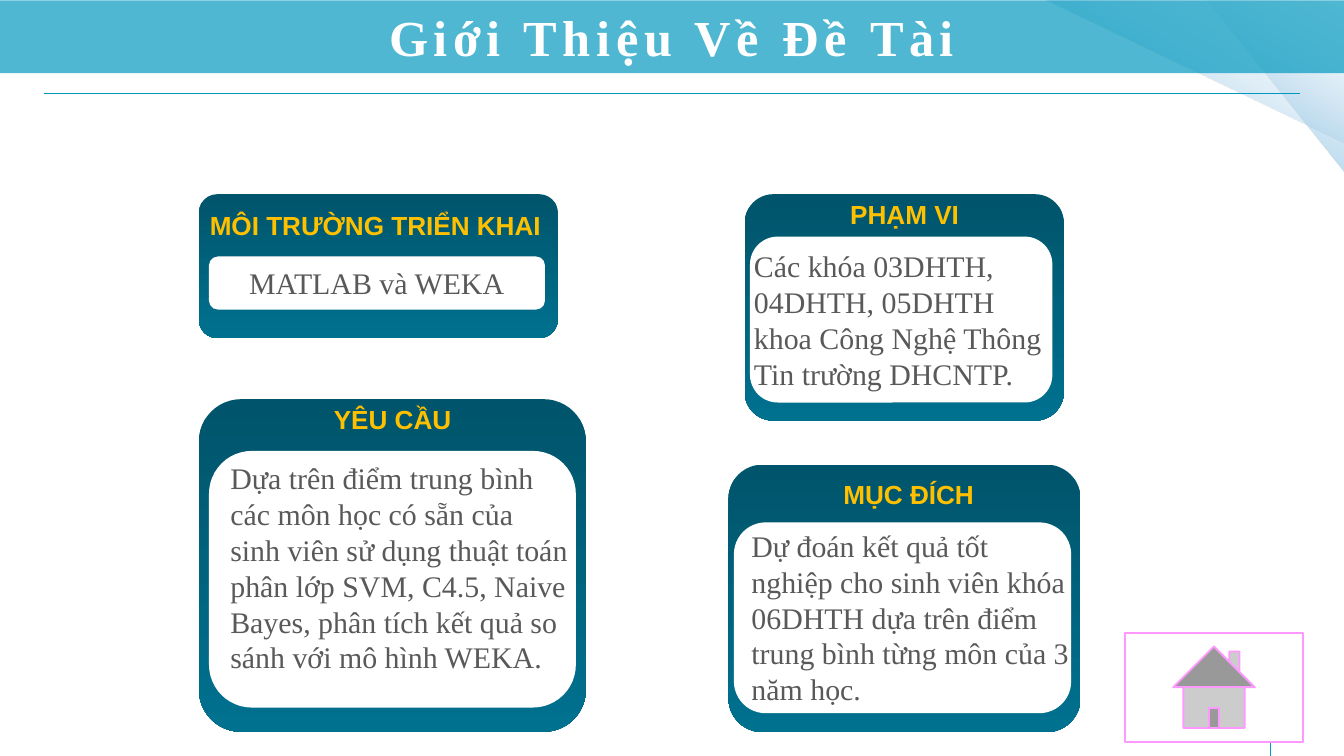
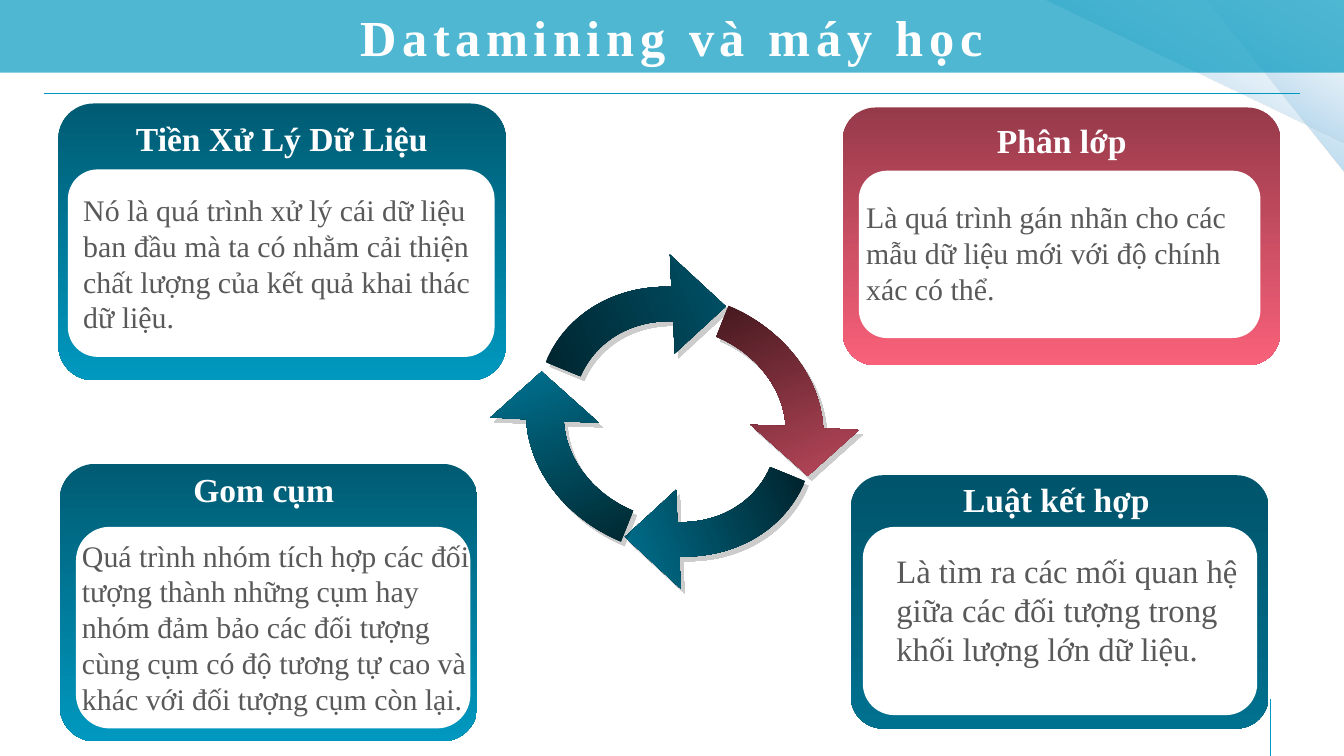
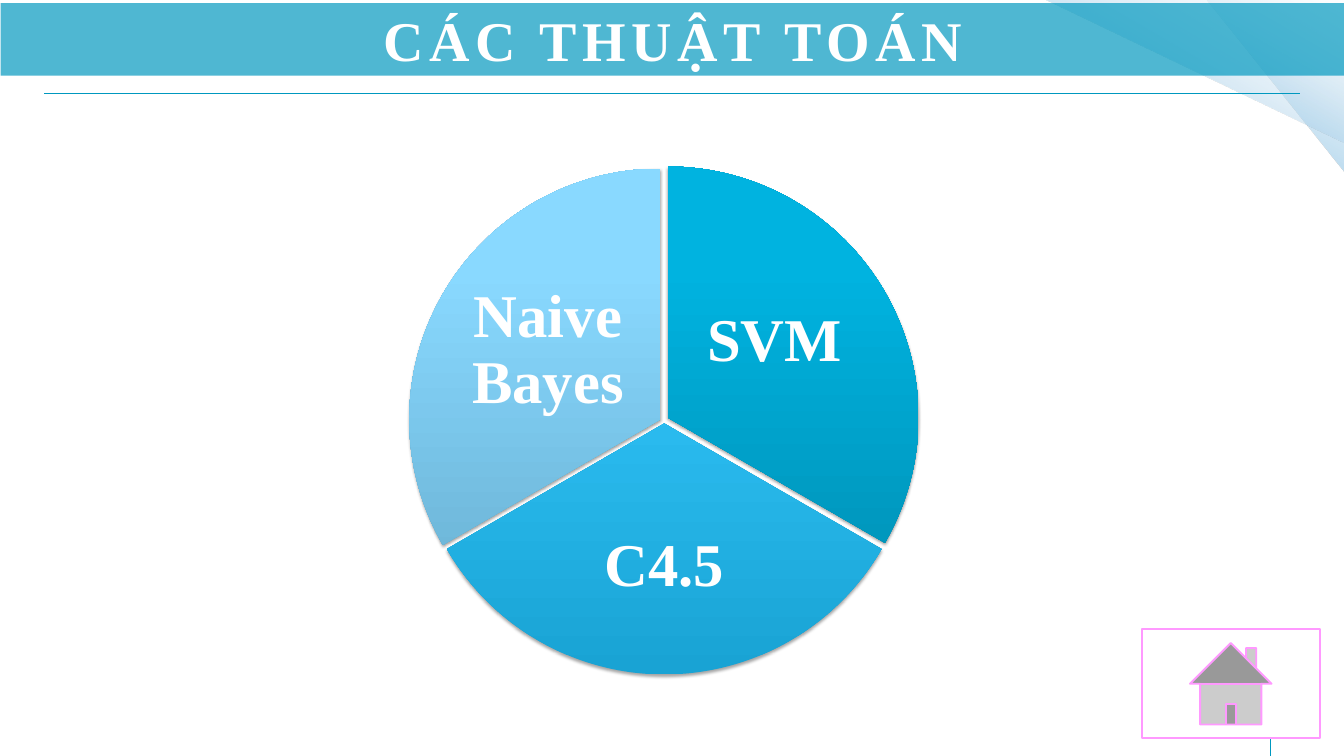
from dataclasses import dataclass

from lxml import etree
from pptx import Presentation
from pptx.dml.color import RGBColor
from pptx.enum.shapes import MSO_CONNECTOR, MSO_SHAPE
from pptx.enum.text import MSO_ANCHOR, MSO_AUTO_SIZE, PP_ALIGN
from pptx.oxml.ns import qn
from pptx.util import Pt

RECT = MSO_SHAPE.RECTANGLE
ROUND = MSO_SHAPE.ROUNDED_RECTANGLE
WEDGE = MSO_SHAPE.RIGHT_TRIANGLE
PIE = MSO_SHAPE.PIE
HOME = MSO_SHAPE.ACTION_BUTTON_HOME
STRAIGHT = MSO_CONNECTOR.STRAIGHT
LEFT, CENTER = PP_ALIGN.LEFT, PP_ALIGN.CENTER
TOP, MIDDLE = MSO_ANCHOR.TOP, MSO_ANCHOR.MIDDLE
GROW = MSO_AUTO_SIZE.SHAPE_TO_FIT_TEXT


@dataclass(frozen=True)
class Theme:
    serif: str = "Times New Roman"
    sans: str = "Arial"
    white: str = "FFFFFF"
    gold: str = "FFC000"
    gray: str = "595959"
    teal: str = "0098BF"
    pink: str = "FF99FF"
    black: str = "000000"
    deep: tuple = ((0, "00546B"), (100, "00718F"))
    sea: tuple = ((0, "005B73"), (100, "0098BF"))
    rose: tuple = ((0, "963A4A"), (100, "F9617A"))
    haze: tuple = ((0, "8FC8E8"), (50, "A4CEE9", 44), (100, "DEEDF6", 0))
    title: int = 54
    label: int = 65
    head: int = 36
    cap: int = 28
    body: int = 32


T = Theme()


@dataclass(frozen=True)
class Card:
    """Box on the slide; pane, head (x, y, width) and note count from its corner."""
    title: str
    text: str
    box: tuple
    pane: tuple
    head: tuple
    note: tuple = ()
    fill: tuple = T.deep
    size: int = T.body
    bend: float = 0.167


@dataclass(frozen=True)
class Slice:
    """Part of the wheel; spot and label count from the wheel's corner."""
    name: str
    spot: tuple
    angles: tuple
    fill: tuple
    label: tuple


GOALS = (
    Card("MỤC ĐÍCH",
         "Dự đoán kết quả tốt nghiệp cho sinh viên khóa 06DHTH dựa trên điểm "
         "trung bình từng môn của 3 năm học.",
         (780.5, 497.8, 377.3, 286.6), (5.8, 61.9, 361.4, 204.5),
         (90, 11.5, 206), (17.5, 63.8, 359.3, 200.9)),
    Card("MÔI TRƯỜNG TRIỂN KHAI", "MATLAB và WEKA",
         (213.1, 208.1, 384.5, 154.1), (10.8, 66.7, 360, 56.9),
         (-7.6, 13, 393.1), (46.8, 72, 335.5, 46.1)),
    Card("YÊU CẦU",
         "Dựa trên điểm trung bình các môn học có sẵn của sinh viên sử dụng "
         "thuật toán phân lớp SVM, C4.5, Naive Bayes, phân tích kết quả so "
         "sánh với mô hình WEKA.",
         (213.1, 427.7, 414.7, 356.4), (10.8, 55.4, 393.1, 275),
         (104.4, 0.7, 206), (26.6, 61.5, 378, 239.8)),
    Card("PHẠM VI",
         "Các khóa 03DHTH, 04DHTH, 05DHTH khoa Công Nghệ Thông Tin trường "
         "DHCNTP.",
         (797.8, 208.1, 342, 242.6), (5.8, 45.4, 324, 177.8),
         (68.4, 1.4, 206), (2.9, 53.7, 335.5, 162.7)),
)

TASKS = (
    Card("Tiền Xử Lý Dữ Liệu",
         "Nó là quá trình xử lý cái dữ liệu\nban đầu mà ta có nhằm cải thiện\n"
         "chất lượng của kết quả khai thác\ndữ liệu.",
         (62.6, 110.9, 479.5, 296.6), (10.1, 70.6, 457.2, 200.9),
         (20.9, 12.2, 437), fill=T.sea, bend=0.159),
    Card("Luật kết hợp",
         "Là tìm ra các mối quan hệ giữa các đối tượng trong khối lượng lớn "
         "dữ liệu.",
         (911.5, 509.2, 447.8, 271.4), (13, 55.4, 422.6, 201.6),
         (21.6, 0.7, 397.4), (41.8, 77.5, 428.4, 134.6), size=35),
    Card("Gom cụm",
         "Quá trình nhóm tích hợp các đối tượng thành những cụm hay nhóm đảm "
         "bảo các đối tượng cùng cụm có độ tương tự cao và khác với đối tượng "
         "cụm còn lại.",
         (64.1, 497, 447.5, 297.4), (17.3, 67.5, 422.6, 216),
         (73.4, 1.6, 290.2), (16.6, 75, 437.8, 200.9), fill=T.sea),
    Card("Phân lớp",
         "Là quá trình gán nhãn cho các mẫu dữ liệu mới với độ chính xác có "
         "thể.",
         (902.9, 115.2, 469, 276.2), (17.3, 67.7, 430.3, 179.3),
         (36, 9.4, 397.4), (18, 94.3, 446.4, 123.8), fill=T.rose),
)

# Inner curve, outer curve and head of an arrow, counted from the ring's centre
LOW = ((2.2, 107.6), (46.8, 109.1), (85, 86.8), (101.5, 48.6),
       (139, 63.7), (117.4, 115.6), (64.1, 146.5), (4.3, 144.4),
       (5.8, 178.9), (-54, 123.5), (0.7, 73.1))
SIDE = ((118.8, 2.5), (116.6, -37.1), (87.8, -75.2), (44.6, -93.2),
        (57.6, -126.4), (116.6, -101.2), (156.2, -50), (159.1, 4.7),
        (197.3, 6.8), (142.6, 55.8), (81.4, 1.1))
# Outline, shift of its centre, turn, gradient, angle
ARROWS = (
    (LOW, (0, 0), 1, ((0, "00222B"), (100, "007290")), 158),
    (SIDE, (-0.7, 2.2), -1, ((0, "002830"), (100, "007392")), 248),
    (LOW, (0, 0), -1, ((0, "00252F"), (100, "005268")), 338),
    (SIDE, (-0.7, 2.2), 1, ((0, "45191F"), (100, "BA485B")), 68),
)

SLICES = (
    Slice("SVM", (7.9, 0), (162, 18),
          ((0, "008AAD"), (80, "00B3E0"), (100, "00B4E1")),
          (300.2, 98.6, 182.2, 179.3)),
    Slice("C4.5", (4.3, 6.5), (18, 90),
          ((0, "19A3D4"), (80, "35CAFF"), (100, "36CBFF")),
          (151.6, 345.6, 243.4, 166.3)),
    Slice("Naive Bayes", (0, 2.2), (90, 162),
          ((0, "63A9CA"), (80, "89D9FF"), (100, "8ADAFF")),
          (57.6, 107.7, 182.2, 179.3)),
)


def points(values):
    return [Pt(v) for v in values]


def inside(box, part):
    return (box[0] + part[0], box[1] + part[1], *part[2:])


def tint(parent, color, alpha=100):
    node = etree.SubElement(parent, qn("a:srgbClr"), val=color)
    if alpha < 100:
        etree.SubElement(node, qn("a:alpha"), val=str(alpha * 1000))


def blend(shape, stops, angle):
    """Fill with a gradient whose angle runs clockwise on the slide."""
    shape.fill.gradient()
    grad = shape.element.spPr.find(qn("a:gradFill"))
    grad.set("rotWithShape", "0")
    grad.find(qn("a:lin")).set("ang", str(angle * 60000))
    ramp = grad.find(qn("a:gsLst"))
    for old in list(ramp):
        ramp.remove(old)
    for pos, *color in stops:
        stop = etree.SubElement(ramp, qn("a:gs"), pos=str(pos * 1000))
        tint(stop, *color)


def paint(shape, fill, angle=90):
    """Fill with one colour or with gradient stops; drop line and shadow."""
    shape.shadow.inherit = False
    shape.line.fill.background()
    if isinstance(fill, str):
        shape.fill.solid()
        shape.fill.fore_color.rgb = RGBColor.from_string(fill)
    else:
        blend(shape, fill, angle)
    return shape


def shade(shape, alpha, blur, dist, angle):
    effects = shape.element.spPr.find(qn("a:effectLst"))
    drop = etree.SubElement(
        effects, qn("a:outerShdw"), blurRad=str(Pt(blur)), dist=str(Pt(dist)),
        dir=str(angle * 60000), algn="ctr", rotWithShape="0")
    tint(drop, T.black, alpha)


def add(slide, kind, box, fill, angle=90):
    return paint(slide.shapes.add_shape(kind, *points(box)), fill, angle)


def write(shape, text, size, color, font=T.serif, bold=False, align=LEFT,
          anchor=TOP, wrap=True, track=0, pitch=None):
    frame = shape.text_frame
    frame.text = text
    frame.word_wrap = wrap
    frame.vertical_anchor = anchor
    for para in frame.paragraphs:
        para.alignment = align
        para.line_spacing = pitch
        for run in para.runs:
            run.font.name = font
            run.font.size = Pt(size)
            run.font.bold = bold
            run.font.color.rgb = RGBColor.from_string(color)
            if track:
                run.font._element.set("spc", str(track * 100))
    return frame


def label(slide, box, text, size, color, **style):
    area = slide.shapes.add_textbox(*points(box))
    return write(area, text, size, color, **style)


def rule(slide, *ends):
    line = slide.shapes.add_connector(STRAIGHT, *points(ends))
    line.line.color.rgb = RGBColor.from_string(T.teal)
    line.line.width = Pt(1)
    etree.SubElement(line.element.spPr, qn("a:effectLst"))


def base(deck, title, size=T.title, spot=(0, 0)):
    """New slide with corner wedges, rules and title band."""
    slide = deck.slides.add_slide(deck.slide_layouts[6])
    for box in ((1293.1, 0, 146.9, 185), (1118.9, 0, 322.6, 153.4)):
        add(slide, WEDGE, box, T.haze, 300).rotation = 180
    rule(slide, 47.5, 100.1, 1392.5, 100.1)
    rule(slide, 1361.5, 810, 1361.5, 748.8)
    band = add(slide, RECT, (*spot, 1440, 77.8), T.teal)
    color = band.element.spPr.find(qn("a:solidFill"))[0]
    etree.SubElement(color, qn("a:alpha"), val="69000")
    write(band, title, size, T.white, bold=True, align=CENTER,
          anchor=MIDDLE, track=6)
    return slide


def panel(slide, card, size, color, font):
    box = card.box
    add(slide, ROUND, box, card.fill).adjustments[0] = 0.127
    pane = add(slide, ROUND, inside(box, card.pane), T.white)
    pane.adjustments[0] = card.bend
    head = inside(box, (*card.head, size * 1.2 + 8))
    label(slide, head, card.title, size, color, font=font, bold=True,
          align=CENTER).auto_size = GROW
    if card.note:
        label(slide, inside(box, card.note), card.text, card.size,
              T.gray).auto_size = GROW
    else:
        write(pane, card.text, card.size, T.gray, anchor=MIDDLE, wrap=False)


def bend(shape, *starts):
    """Turn the three line segments from each start into one Bezier curve."""
    lines = list(shape.element.iter(qn("a:lnTo")))
    for start in starts:
        first, *rest = lines[start:start + 3]
        first.tag = qn("a:cubicBezTo")
        for line in rest:
            first.append(line[0])
            line.getparent().remove(line)


def ring(slide, x, y):
    """Four arrows chasing round the centre x, y."""
    for outline, (dx, dy), turn, fill, angle in ARROWS:
        dots = [(Pt(x + dx + turn * px), Pt(y + dy + turn * py))
                for px, py in outline]
        pen = slide.shapes.build_freeform(*dots[0])
        pen.add_line_segments(dots[1:])
        arrow = paint(pen.convert_to_shape(), fill, angle)
        bend(arrow, 0, 4)
        shade(arrow, 20, 0, 6.4, 51)


def wheel(slide, box):
    for part in SLICES:
        pie = add(slide, PIE, inside(box, (*part.spot, *box[2:])),
                  part.fill, 270)
        pie.adjustments[0], pie.adjustments[1] = part.angles
        shade(pie, 35, 3.1, 1.8, 90)
        label(slide, inside(box, part.label), part.name, T.label, T.white,
              bold=True, align=CENTER, anchor=MIDDLE, pitch=0.9)


def home(slide, x, y):
    button = add(slide, HOME, (x, y, 190.8, 116.6), T.white)
    button.line.color.rgb = RGBColor.from_string(T.pink)
    button.line.width = Pt(2)


def main():
    deck = Presentation()
    deck.slide_width, deck.slide_height = Pt(1440), Pt(810)

    intro = base(deck, "Giới Thiệu Về Đề Tài", spot=(0, 0.5))
    for card in GOALS:
        panel(intro, card, T.cap, T.gold, T.sans)
    home(intro, 1205.3, 678)

    mining = base(deck, "Datamining và máy học")
    for card in TASKS:
        panel(mining, card, T.head, T.white, T.serif)
    ring(mining, 723.6, 451.8)

    methods = base(deck, "CÁC THUẬT TOÁN", 60, (0.7, 3.3))
    wheel(methods, (438.5, 178.4, 537.8, 537.8))
    home(methods, 1223.3, 674.3)

    deck.save("out.pptx")


if __name__ == "__main__":
    main()
